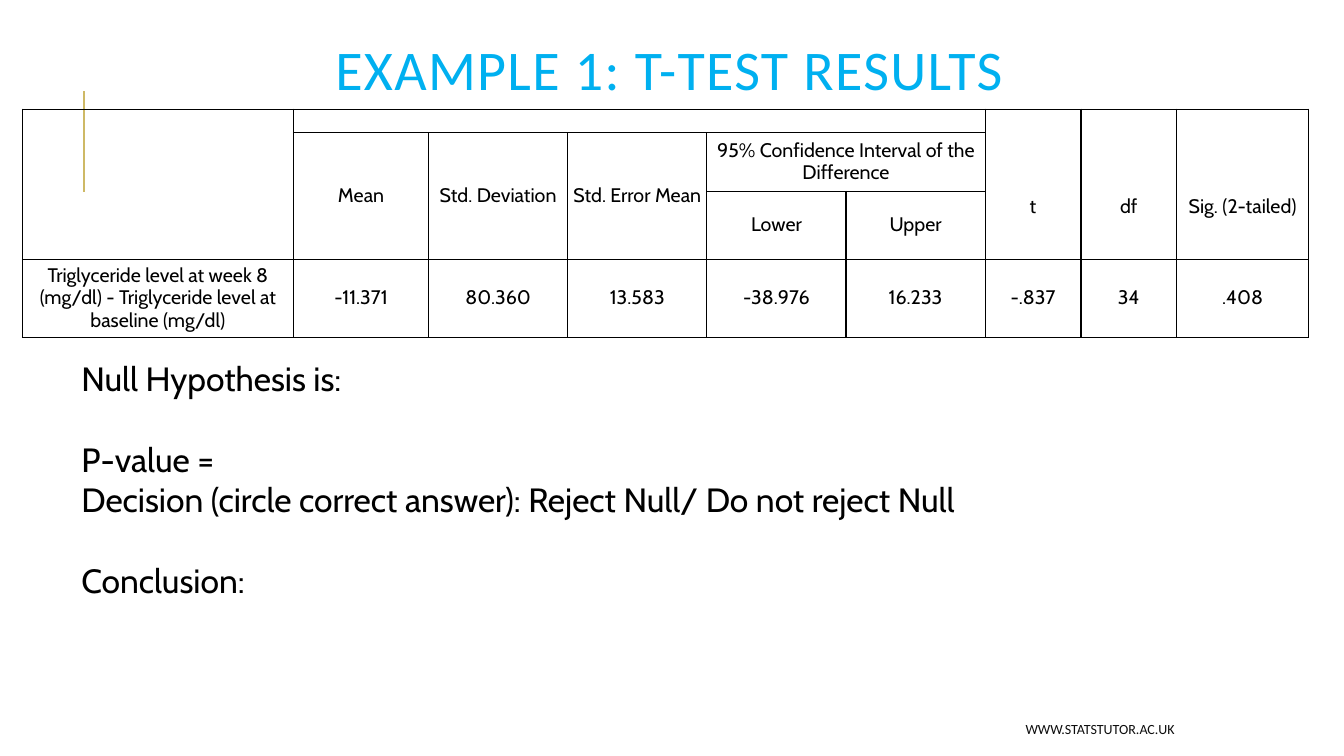
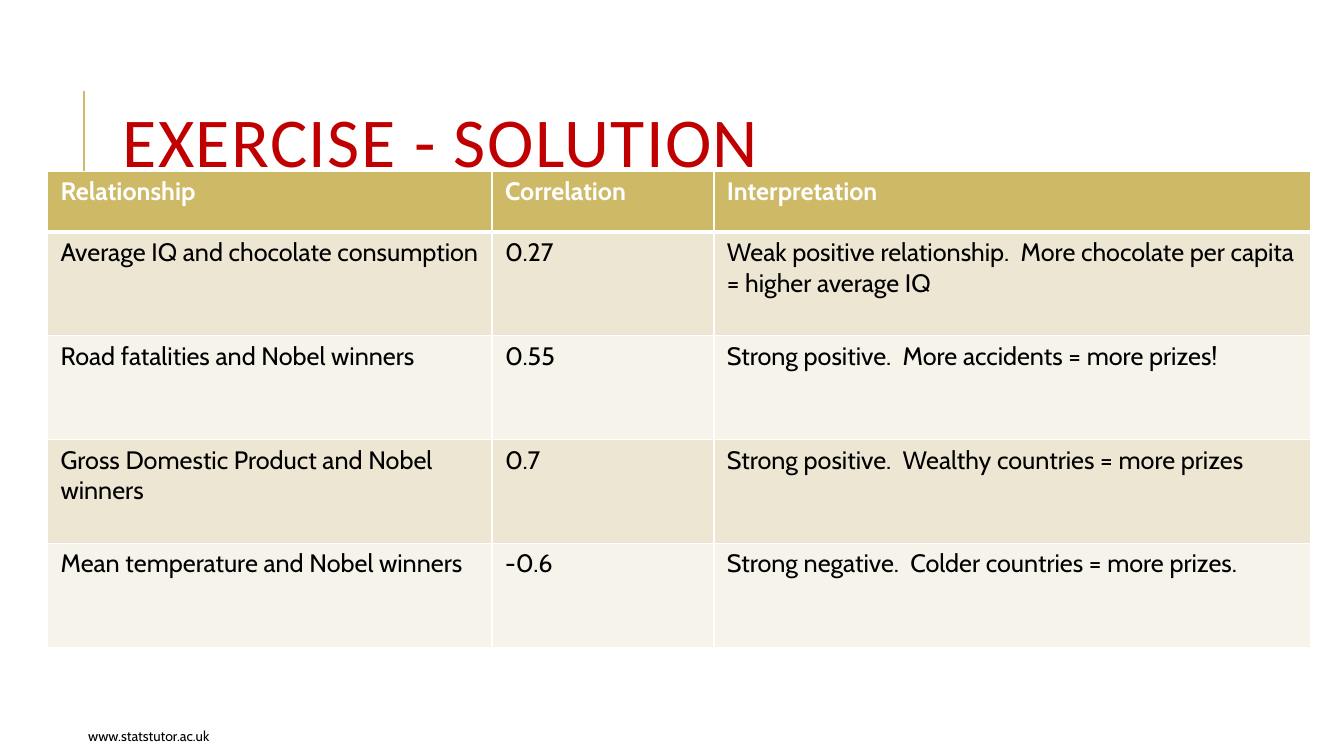
from lxml.etree import SubElement
from pptx import Presentation
from pptx.dml.color import RGBColor
from pptx.enum.shapes import MSO_CONNECTOR
from pptx.enum.text import MSO_ANCHOR, PP_ALIGN
from pptx.oxml.ns import qn
from pptx.util import Pt

# Shared style
GOLD = RGBColor(0xCE, 0xB9, 0x66)
SAND = RGBColor(0xED, 0xE6, 0xD3)
CREAM = RGBColor(0xF6, 0xF3, 0xEA)
BLUE = RGBColor(0x00, 0xB0, 0xF0)
RED = RGBColor(0xC0, 0x00, 0x00)
INK = RGBColor(0x0D, 0x0D, 0x0D)
BLACK = RGBColor(0x00, 0x00, 0x00)
WHITE = RGBColor(0xFF, 0xFF, 0xFF)
HEAD_FONT, BODY_FONT = "Calibri", "Cabin"

# Paired t-test output: column headings and the single result row
TEST_COLS = [193.7, 96.5, 99.4, 99.4, 99.4, 99.4, 68.4, 68.4, 94.3]
TEST_ROWS = [16, 42, 48.5, 56]
TEST_CELLS = [
    ["", "", "", "", "", "", "t", "df", "Sig. (2-tailed)"],
    ["", "Mean", "Std. Deviation", "Std. Error Mean",
     "95% Confidence Interval of the Difference", "", "", "", ""],
    ["", "", "", "", "Lower", "Upper", "", "", ""],
    ["Triglyceride level at week 8 (mg/dl) - Triglyceride level at baseline (mg/dl)",
     "-11.371", "80.360", "13.583", "-38.976", "16.233", "-.837", "34", ".408"],
]
# Merged areas: first row, first column, last row, last column
TEST_SPANS = [(0, 0, 2, 0), (0, 1, 0, 5), (1, 4, 1, 5)]
TEST_SPANS += [(0, col, 2, col) for col in (6, 7, 8)]
TEST_SPANS += [(1, col, 2, col) for col in (1, 2, 3)]

ANSWER_COLS = [317.5, 158.5, 426.2]
ANSWER_ROWS = [43.2] + [74.2] * 4
ANSWER_CELLS = [
    ["Relationship", "Correlation", "Interpretation"],
    ["Average IQ and chocolate consumption", "0.27",
     "Weak positive relationship.  More chocolate per capita = higher average IQ"],
    ["Road fatalities and Nobel winners", "0.55",
     "Strong positive.  More accidents = more prizes!"],
    ["Gross Domestic Product and Nobel winners", "0.7",
     "Strong positive.  Wealthy countries = more prizes"],
    ["Mean temperature and Nobel winners", "-0.6",
     "Strong negative.  Colder countries = more prizes."],
]


def style(p, name, size, color, align=PP_ALIGN.LEFT, bold=False):
    p.alignment = align
    p.font.name = name
    p.font.size = Pt(size)
    p.font.color.rgb = color
    p.font.bold = bold


def add_text(s, box, text, name, size, color, align=PP_ALIGN.LEFT, anchor=MSO_ANCHOR.MIDDLE):
    sp = s.shapes.add_textbox(*map(Pt, box))
    tf = sp.text_frame
    tf.word_wrap = True
    tf.vertical_anchor = anchor
    tf.text = text
    for p in tf.paragraphs:
        style(p, name, size, color, align)
    return tf


def add_title(s, box, text, size, color, align=PP_ALIGN.LEFT):
    p = add_text(s, box, text, HEAD_FONT, size, color, align).paragraphs[0]
    p.line_spacing = 0.8
    p.runs[0]._r.get_or_add_rPr().set("spc", "100")


def add_slide(prs):
    """Blank slide with the gold rule beside the title."""
    s = prs.slides.add_slide(prs.slide_layouts[6])
    rule = s.shapes.add_connector(MSO_CONNECTOR.STRAIGHT, Pt(60), Pt(137), Pt(60), Pt(65))
    rule.line.color.rgb = GOLD
    rule.line.width = Pt(1.5)
    SubElement(rule._element.spPr, qn("a:effectLst"))
    return s


def set_borders(cell, color, top=1, bottom=1):
    """Draw the four borders; call before the cell gets its fill."""
    tc_pr = cell._tc.get_or_add_tcPr()
    for side, width in (("L", 1), ("R", 1), ("T", top), ("B", bottom)):
        ln = SubElement(tc_pr, qn(f"a:ln{side}"), w=str(Pt(width)))
        fill = SubElement(ln, qn("a:solidFill"))
        SubElement(fill, qn("a:srgbClr"), val=str(color))


def set_margins(cell, x, y):
    cell.margin_left = cell.margin_right = Pt(x)
    cell.margin_top = cell.margin_bottom = Pt(y)


def add_grid(s, left, top, cols, rows, texts):
    frame = s.shapes.add_table(len(rows), len(cols), Pt(left), Pt(top),
                               Pt(sum(cols)), Pt(sum(rows)))
    table = frame.table
    table.first_row = table.horz_banding = False
    for col, width in zip(table.columns, cols):
        col.width = Pt(width)
    for row, height, values in zip(table.rows, rows, texts):
        row.height = Pt(height)
        for cell, value in zip(row.cells, values):
            cell.text = value
    return table


def add_test_table(s):
    table = add_grid(s, 16, 78, TEST_COLS, TEST_ROWS, TEST_CELLS)
    for cell in table.iter_cells():
        set_margins(cell, 3, 0)
        cell.vertical_anchor = MSO_ANCHOR.MIDDLE
        set_borders(cell, BLACK)
        cell.fill.background()
        p = cell.text_frame.paragraphs[0]
        p.line_spacing = Pt(16)
        style(p, BODY_FONT, 14, BLACK, PP_ALIGN.CENTER)
    for row, col, last_row, last_col in TEST_SPANS:
        table.cell(row, col).merge(table.cell(last_row, last_col))
    # The last three headings sit below the middle of their cells
    for col in (6, 7, 8):
        table.cell(0, col).margin_top = Pt(32)


def add_answer_table(s):
    table = add_grid(s, 34, 122.5, ANSWER_COLS, ANSWER_ROWS, ANSWER_CELLS)
    for i, row in enumerate(table.rows):
        header = i == 0
        for cell in row.cells:
            set_margins(cell, 9.3, 3.6)
            set_borders(cell, WHITE, top=3 if i == 1 else 1, bottom=3 if header else 1)
            cell.fill.solid()
            cell.fill.fore_color.rgb = GOLD if header else (CREAM, SAND)[i % 2]
            style(cell.text_frame.paragraphs[0], BODY_FONT, 18,
                  WHITE if header else BLACK, bold=header)


def build_test_slide(prs):
    s = add_slide(prs)
    add_text(s, (382, 510, 464, 21.6), "WWW.STATSTUTOR.AC.UK",
             HEAD_FONT, 10, INK, PP_ALIGN.RIGHT)
    add_title(s, (61, 23, 834.5, 61), "EXAMPLE 1: T-TEST RESULTS", 40, BLUE, PP_ALIGN.CENTER)
    questions = [
        "Null Hypothesis is:",
        "P-value =",
        "Decision (circle correct answer): Reject Null/ Do not reject Null",
        "Conclusion:",
    ]
    tf = add_text(s, (51, 252, 840, 181.5), "\n".join(questions),
                  BODY_FONT, 24, BLACK, anchor=MSO_ANCHOR.TOP)
    # Room to write an answer
    for i in (1, 3):
        tf.paragraphs[i].space_before = Pt(29)
    add_test_table(s)


def build_answer_slide(prs):
    s = add_slide(prs)
    add_title(s, (80.6, 46, 765, 118), "EXERCISE - SOLUTION", 50, RED)
    add_answer_table(s)
    add_text(s, (0, 510, 156.5, 25), "www.statstutor.ac.uk",
             BODY_FONT, 10, BLACK, PP_ALIGN.RIGHT, MSO_ANCHOR.BOTTOM)


def main():
    prs = Presentation()
    prs.slide_width, prs.slide_height = Pt(960), Pt(540)
    build_test_slide(prs)
    build_answer_slide(prs)
    prs.save("out.pptx")


if __name__ == "__main__":
    main()
